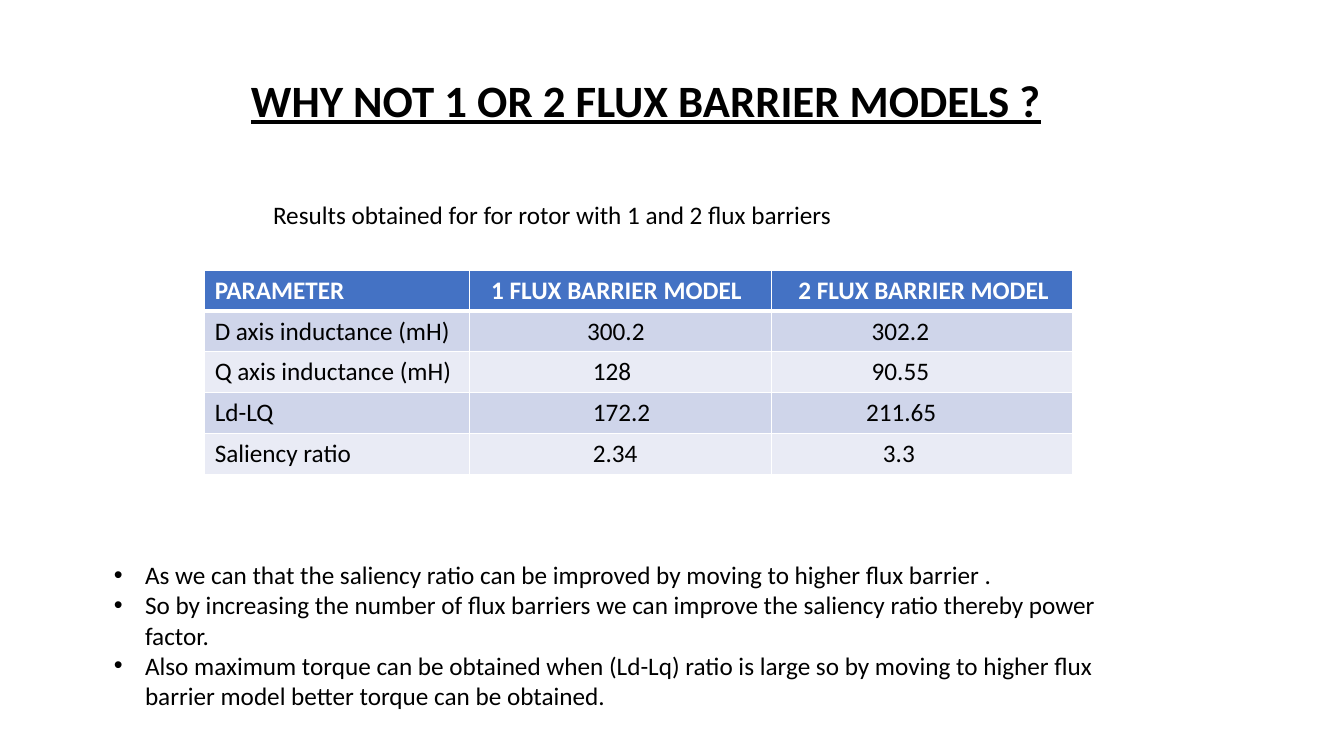
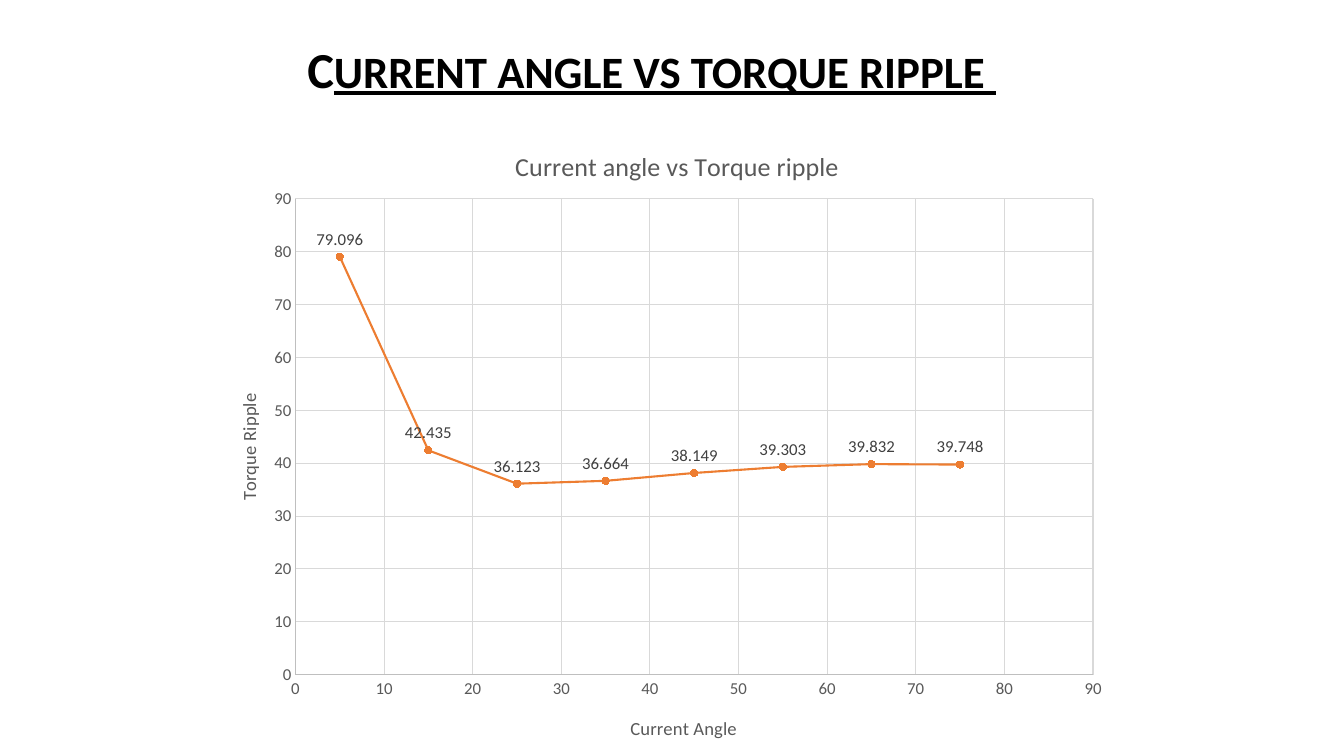
from pptx import Presentation
from pptx.chart.data import XyChartData
from pptx.dml.color import RGBColor
from pptx.enum.chart import XL_CHART_TYPE, XL_LABEL_POSITION, XL_MARKER_STYLE, XL_TICK_MARK
from pptx.enum.text import MSO_ANCHOR
from pptx.oxml.ns import qn
from pptx.util import Emu, Inches, Pt
from lxml import etree

SMOOTH_SCATTER = XL_CHART_TYPE.XY_SCATTER_SMOOTH
LABEL_ABOVE = XL_LABEL_POSITION.ABOVE
CIRCLE = XL_MARKER_STYLE.CIRCLE
NO_TICK = XL_TICK_MARK.NONE
TOP = MSO_ANCHOR.TOP

BLACK = RGBColor(0x00, 0x00, 0x00)
WHITE = RGBColor(0xFF, 0xFF, 0xFF)
HEADER_BLUE = RGBColor(0x44, 0x72, 0xC4)
BANDS = (RGBColor(0xCF, 0xD5, 0xEA), RGBColor(0xE9, 0xEB, 0xF5))
ORANGE = RGBColor(0xED, 0x7D, 0x31)
AXIS_TEXT = RGBColor(0x59, 0x59, 0x59)
LABEL_TEXT = RGBColor(0x40, 0x40, 0x40)
AXIS_LINE = RGBColor(0xBF, 0xBF, 0xBF)
GRID_LINE = RGBColor(0xD9, 0xD9, 0xD9)

FONT = "Calibri"
BODY_SIZE = 18
TITLE_SIZE = 32
SLIDE_WIDTH = Inches(13.33)
SLIDE_HEIGHT = Inches(7.5)
COLUMN = SLIDE_WIDTH / 100
ROW = SLIDE_HEIGHT / 100

CELL_MARGIN = 0.75
CELL_STEP = 0.42
TABLE_COLUMNS = (19.73, 22.43, 22.43)
TABLE_ROW = 5.33
TABLE_ROWS = (
    (("PARAMETER", 0), ("1 FLUX BARRIER MODEL", 2), ("2 FLUX BARRIER MODEL", 3)),
    (("D axis inductance (mH)", 0), ("300.2", 19), ("302.2", 16)),
    (("Q axis inductance (mH)", 0), ("128", 20), ("90.55", 16)),
    (("Ld-LQ", 0), ("172.2", 20), ("211.65", 15)),
    (("Saliency ratio", 0), ("2.34", 20), ("3.3", 18)),
)
CONCLUSIONS = (
    "As we can that the saliency ratio can be improved by moving to higher flux barrier .",
    "So by increasing the number of flux barriers we can improve the saliency ratio "
    "thereby power factor.",
    "Also maximum torque can be obtained when (Ld-Lq) ratio is large so by moving to "
    "higher flux barrier model better torque can be obtained.",
)
TORQUE_RIPPLE = (79.096, 42.435, 36.123, 36.664, 38.149, 39.303, 39.832, 39.748)
FIRST_ANGLE, ANGLE_STEP = 5, 10


def columns(count):
    return Emu(round(count * COLUMN))


def rows(count):
    return Emu(round(count * ROW))


def place(left, top, width, height):
    return columns(left), rows(top), columns(width), rows(height)


def style_font(font, size, color, bold=False, underline=False):
    font.name = FONT
    font.size = Pt(size)
    font.color.rgb = color
    font.bold = bold
    font.underline = underline


def add_run(paragraph, text, size=BODY_SIZE, color=BLACK, bold=False, underline=False):
    run = paragraph.add_run()
    run.text = text
    style_font(run.font, size, color, bold, underline)


def add_text_box(slide, position):
    frame = slide.shapes.add_textbox(*place(*position)).text_frame
    frame.word_wrap = True
    return frame


def add_title(slide, position, runs, line_spacing=1.0):
    paragraph = add_text_box(slide, position).paragraphs[0]
    paragraph.line_spacing = line_spacing
    for text, size, underline in runs:
        add_run(paragraph, text, size, bold=True, underline=underline)


def add_bullets(slide, position, items):
    frame = add_text_box(slide, position)
    for index, item in enumerate(items):
        paragraph = frame.add_paragraph() if index else frame.paragraphs[0]
        properties = paragraph._p.get_or_add_pPr()
        indent = Inches(0.31)
        properties.set("marL", str(indent))
        properties.set("indent", str(-indent))
        etree.SubElement(properties, qn("a:buFont"), typeface="Arial")
        etree.SubElement(properties, qn("a:buChar"), char="•")
        add_run(paragraph, item)


def add_borders(cell, widths):
    properties = cell._tc.get_or_add_tcPr()
    for side, width in zip("LRTB", widths):
        line = etree.SubElement(properties, qn(f"a:ln{side}"), w=str(Pt(width)))
        fill = etree.SubElement(line, qn("a:solidFill"))
        etree.SubElement(fill, qn("a:srgbClr"), val=str(WHITE))


def fill_cell(cell, text, steps, row_index):
    header = row_index == 0
    top = 3 if row_index == 1 else 1
    add_borders(cell, (1, 1, top, 3 if header else 1))
    cell.fill.solid()
    cell.fill.fore_color.rgb = HEADER_BLUE if header else BANDS[(row_index - 1) % 2]
    cell.margin_left = columns(CELL_MARGIN + steps * CELL_STEP)
    cell.vertical_anchor = TOP
    add_run(cell.text_frame.paragraphs[0], text,
            color=WHITE if header else BLACK, bold=header)


def add_parameter_table(slide, left, top):
    position = place(left, top, sum(TABLE_COLUMNS), TABLE_ROW * len(TABLE_ROWS))
    table = slide.shapes.add_table(len(TABLE_ROWS), len(TABLE_COLUMNS), *position).table
    table.horz_banding = False
    for column, width in zip(table.columns, TABLE_COLUMNS):
        column.width = columns(width)
    for row_index, entries in enumerate(TABLE_ROWS):
        table.rows[row_index].height = rows(TABLE_ROW)
        for column_index, (text, steps) in enumerate(entries):
            fill_cell(table.cell(row_index, column_index), text, steps, row_index)


def set_layout(element, settings):
    layout = element.find(qn("c:layout"))
    if layout is None:
        layout = etree.Element(qn("c:layout"))
        element.insert(0 if element.find(qn("c:tx")) is None else 1, layout)
    manual = etree.SubElement(layout, qn("c:manualLayout"))
    for name, value in settings.items():
        etree.SubElement(manual, qn(f"c:{name}"), val=str(value))


def style_chart_title(title, text, size, left, top):
    add_run(title.text_frame.paragraphs[0], text, size, AXIS_TEXT)
    set_layout(title._element, {"xMode": "edge", "yMode": "edge", "x": left, "y": top})


def style_line(line, color, width):
    line.color.rgb = color
    line.width = Pt(width)


def style_axis(axis, title, left, top):
    axis.minimum_scale, axis.maximum_scale, axis.major_unit = 0, 90, 10
    axis.major_tick_mark = axis.minor_tick_mark = NO_TICK
    axis.has_major_gridlines = True
    style_line(axis.major_gridlines.format.line, GRID_LINE, 0.75)
    style_line(axis.format.line, AXIS_LINE, 0.75)
    style_font(axis.tick_labels.font, 12, AXIS_TEXT)
    style_chart_title(axis.axis_title, title, 13.3, left, top)


def style_series(series):
    style_line(series.format.line, ORANGE, 1.5)
    series.marker.style = CIRCLE
    series.marker.size = 5
    series.marker.format.fill.solid()
    series.marker.format.fill.fore_color.rgb = ORANGE
    style_line(series.marker.format.line, ORANGE, 0.75)
    for index in range(len(TORQUE_RIPPLE)):
        label = series.points[index].data_label
        style_font(label.font, 12, LABEL_TEXT)
        label.position = LABEL_ABOVE


def add_ripple_chart(slide, position):
    data = XyChartData()
    points = data.add_series("Torque Ripple")
    for index, ripple in enumerate(TORQUE_RIPPLE):
        points.add_data_point(FIRST_ANGLE + index * ANGLE_STEP, ripple)
    chart = slide.shapes.add_chart(SMOOTH_SCATTER, *place(*position), data).chart
    style_font(chart.font, 10, BLACK)
    chart.has_legend = False
    chart.has_title = True
    style_chart_title(chart.chart_title, "Current angle vs Torque ripple", 18.6, 0.32, 0.03)
    style_axis(chart.category_axis, "Current Angle", 0.45, 0.95)
    style_axis(chart.value_axis, "Torque Ripple", 0.01, 0.43)
    body = chart.value_axis.axis_title.text_frame._txBody.find(qn("a:bodyPr"))
    body.set("rot", "-5400000")
    body.set("vert", "horz")
    plot_area = chart._chartSpace.find(f"{qn('c:chart')}/{qn('c:plotArea')}")
    set_layout(plot_area, {"layoutTarget": "inner", "xMode": "edge", "yMode": "edge",
                           "x": 0.08, "y": 0.12, "w": 0.89, "h": 0.77})
    chart.plots[0].vary_by_categories = False
    style_series(chart.plots[0].series[0])


def build_barrier_slide(slide):
    add_parameter_table(slide, 15.23, 35.73)
    caption = add_text_box(slide, (19.58, 25.73, 58.13, 5.33))
    add_run(caption.paragraphs[0], "Results obtained for for rotor with 1 and 2 flux barriers")
    add_bullets(slide, (7.73, 73.33, 79.58, 21.6), CONCLUSIONS)
    add_title(slide, (17.93, 8.93, 66.68, 8.53),
              [("WHY NOT 1 OR 2 FLUX BARRIER MODELS ?", TITLE_SIZE, True)])


def build_ripple_slide(slide):
    add_ripple_chart(slide, (16.65, 16.53, 66.68, 82.13))
    add_title(slide, (22.13, 5.33, 61.8, 8.93),
              [("C", 36, False), ("URRENT ANGLE VS TORQUE RIPPLE ", TITLE_SIZE, True)], 0.9)


def main():
    presentation = Presentation()
    presentation.slide_width = SLIDE_WIDTH
    presentation.slide_height = SLIDE_HEIGHT
    blank = presentation.slide_layouts[6]
    for build in (build_barrier_slide, build_ripple_slide):
        build(presentation.slides.add_slide(blank))
    presentation.save("out.pptx")


if __name__ == "__main__":
    main()
